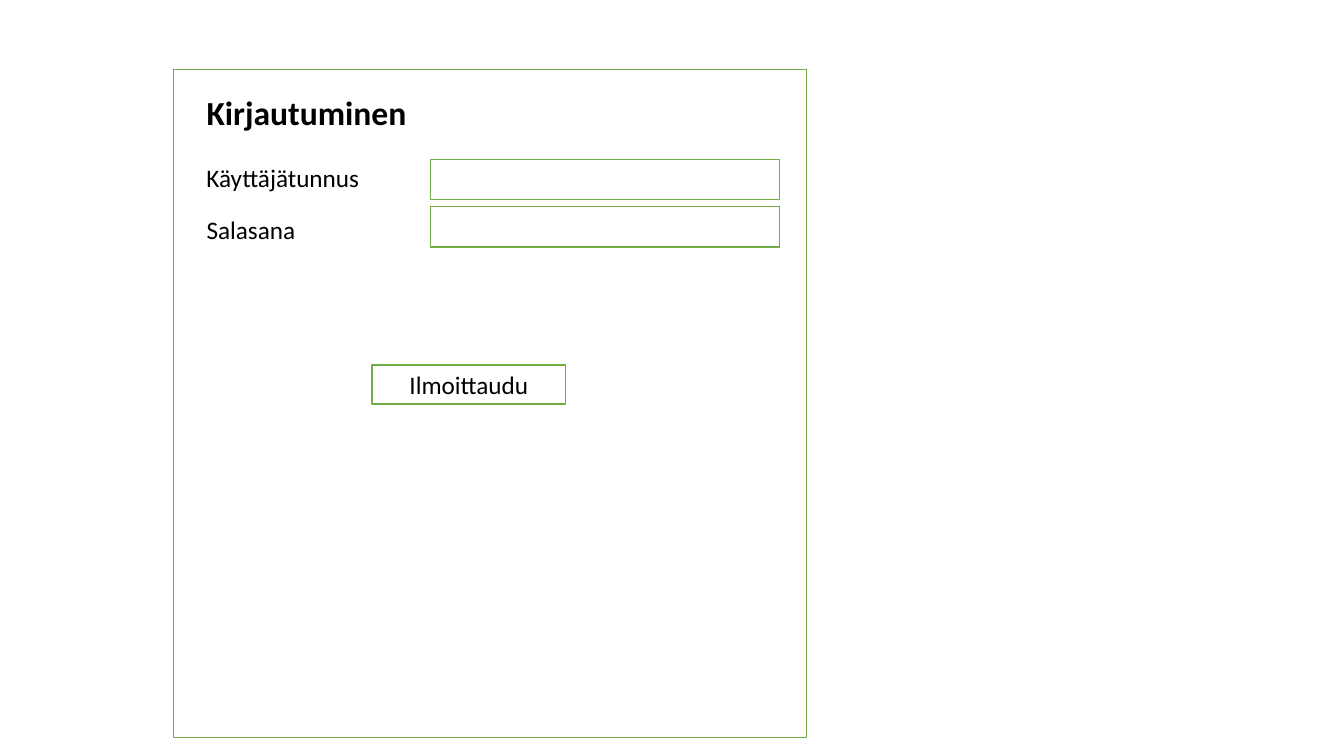
import pptx
import pptx.util
import pptx.dml.color
import pptx.enum.shapes
import pptx.enum.text

Inches = pptx.util.Inches
Color = pptx.dml.color.RGBColor
Align = pptx.enum.text.PP_ALIGN
Anchor = pptx.enum.text.MSO_ANCHOR

WHITE = Color(0xFF, 0xFF, 0xFF)
BLACK = Color(0, 0, 0)
GREEN = Color(0x70, 0xAD, 0x47)

PANEL = (1.72, 0.69, 6.28, 6.63)
TITLE = ("Kirjautuminen", 0.86, 3.65, 0.5)
FIELDS = [("Käyttäjätunnus", 1.74), ("Salasana", 1.09)]
BUTTON = ("Ilmoittaudu", (3.69, 3.62, 1.92, 0.39))

LEFT = 1.95
LABEL_TOP, LABEL_STEP = 1.56, 0.52
INPUT_TOP, INPUT_STEP = 1.58, 0.47
INPUT_LEFT, INPUT_WIDTH = 4.27, 3.46
HEIGHT = 0.4

deck = pptx.Presentation()
deck.slide_width = Inches(13.33)
deck.slide_height = Inches(7.5)
slide = deck.slides.add_slide(deck.slide_layouts[6])


def write(frame, text, size=18, bold=False):
    run = frame.paragraphs[0].add_run()
    run.text = text
    run.font.name = "Calibri"
    run.font.size = pptx.util.Pt(size)
    run.font.bold = bold
    run.font.color.rgb = BLACK


def add_box(*area):
    box = slide.shapes.add_shape(
        pptx.enum.shapes.MSO_SHAPE.RECTANGLE, *map(Inches, area))
    box.shadow.inherit = False
    box.fill.solid()
    box.fill.fore_color.rgb = WHITE
    box.line.color.rgb = GREEN
    box.line.width = pptx.util.Pt(1)
    return box


def add_label(text, top, width, height, wrap=False, **style):
    area = map(Inches, (LEFT, top, width, height))
    frame = slide.shapes.add_textbox(*area).text_frame
    frame.word_wrap = wrap
    frame.auto_size = pptx.enum.text.MSO_AUTO_SIZE.SHAPE_TO_FIT_TEXT
    write(frame, text, **style)


add_box(*PANEL)
add_label(*TITLE, wrap=True, size=24, bold=True)

for row, (text, width) in enumerate(FIELDS):
    add_label(text, LABEL_TOP + row * LABEL_STEP, width, HEIGHT)
    add_box(INPUT_LEFT, INPUT_TOP + row * INPUT_STEP, INPUT_WIDTH, HEIGHT)

text, area = BUTTON
frame = add_box(*area).text_frame
frame.vertical_anchor = Anchor.MIDDLE
frame.paragraphs[0].alignment = Align.CENTER
write(frame, text)

deck.save("out.pptx")
